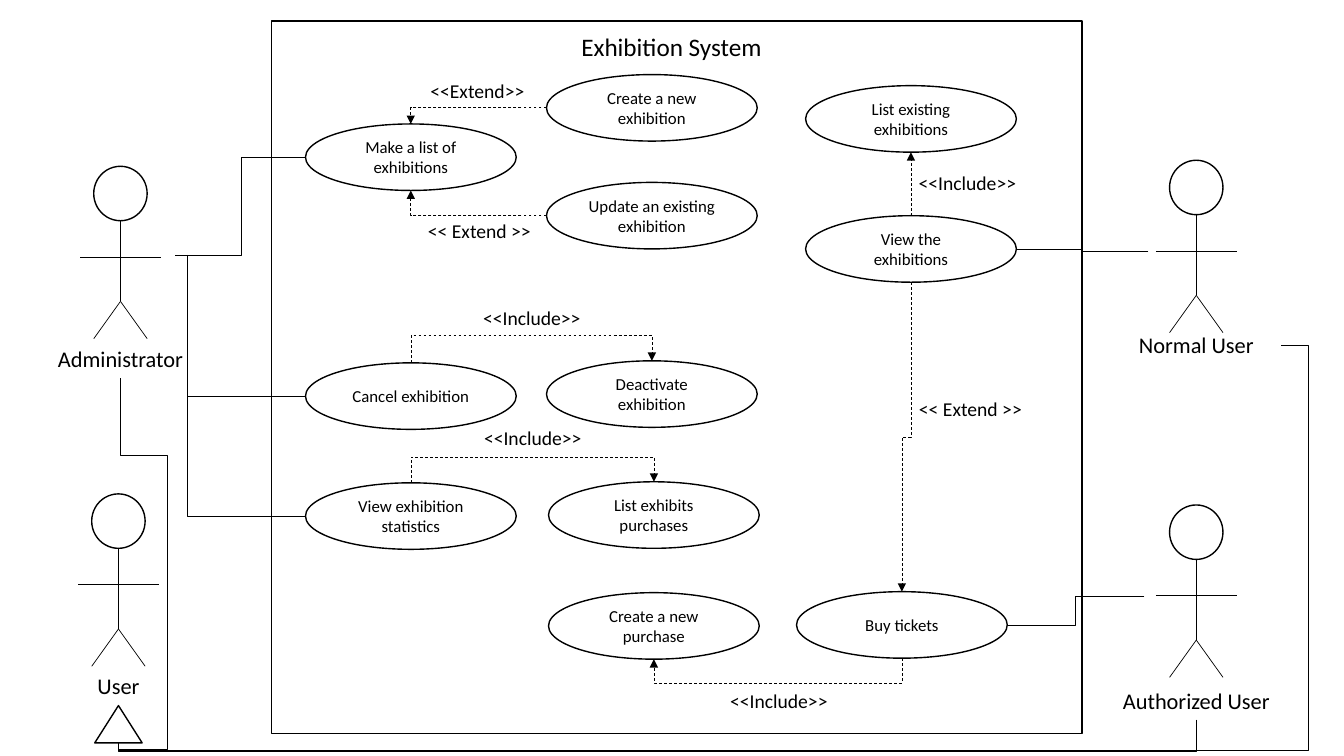
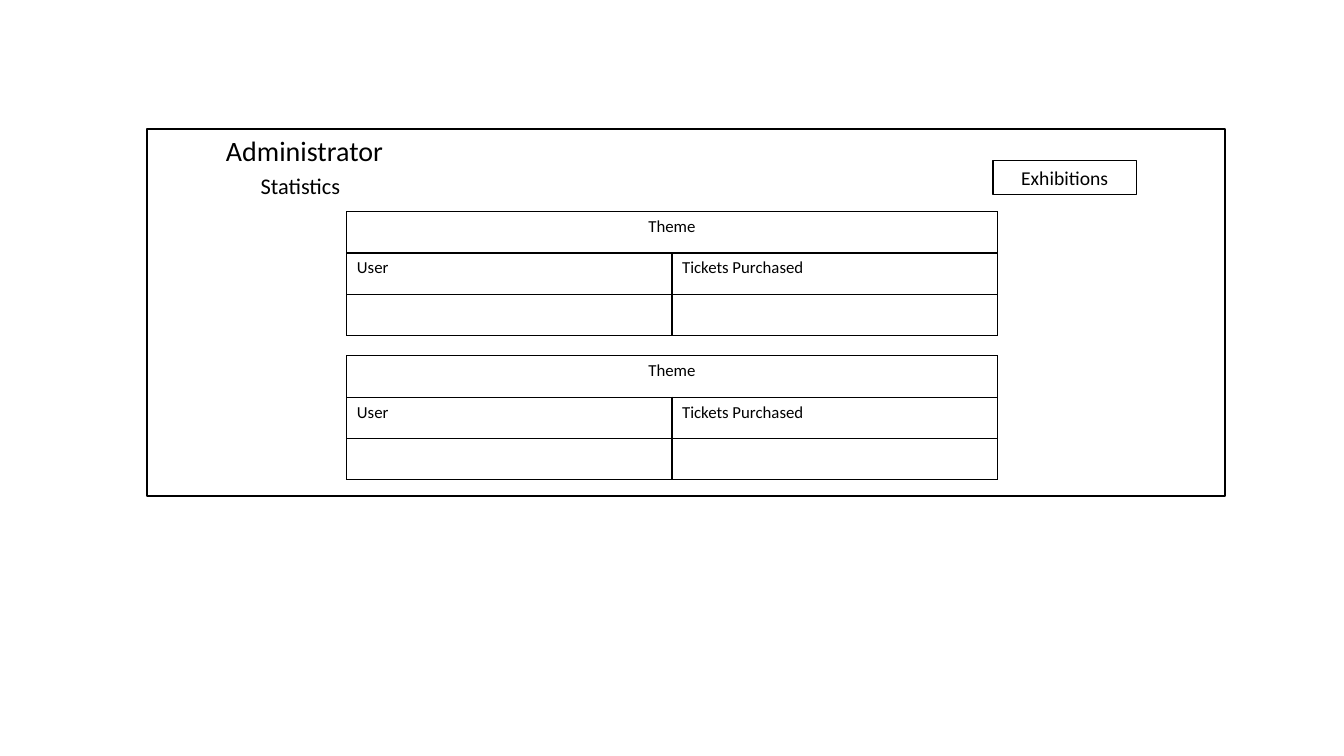
from collections import namedtuple
from lxml.etree import SubElement as Sub
from pptx import Presentation
from pptx.dml.color import RGBColor
from pptx.enum.dml import MSO_LINE as Dash
from pptx.enum.shapes import MSO_CONNECTOR as Link, MSO_SHAPE as Kind
from pptx.enum.text import MSO_ANCHOR as Anchor, MSO_AUTO_SIZE as Auto, PP_ALIGN as Align
from pptx.oxml.ns import qn
from pptx.util import Inches, Pt

INK, PAPER, FACE = "000000", "FFFFFF", "Calibri"
Port = namedtuple("Port", "x y id idx", defaults=(None, None))
TOP, LEFT, BASE, RIGHT = (0.5, 0, 0), (0, 0.5, 2), (0.5, 1, 4), (1, 0.5, 6)
BOX_BASE, BOX_RIGHT, TIP_BASE = (0.5, 1, 2), (1, 0.5, 3), (0.5, 1, 3)


def color(code):
    """Turn a hex string into a colour."""
    return RGBColor.from_string(code)


def put(item, vals):
    """Set each named attribute on the item."""
    for key, val in vals.items():
        setattr(item, key, val)


def write(frame, text, size, align=Align.CENTER):
    """Write one paragraph in the shared type style."""
    para = frame.paragraphs[0]
    para.alignment = align
    run = para.add_run()
    run.text = text
    put(run.font, {"name": FACE, "size": Pt(size)})
    run.font.color.rgb = color(INK)


def label(shapes, box, text, size):
    """Add a centred text box that fits its text."""
    note = shapes.add_textbox(*map(Inches, box))
    put(note.text_frame, {"word_wrap": True, "auto_size": Auto.SHAPE_TO_FIT_TEXT})
    write(note.text_frame, text, size)
    return note


def block(shapes, kind, box, text="", size=12, fill=PAPER):
    """Add an outlined shape with optional text."""
    part = shapes.add_shape(kind, *map(Inches, box))
    part.shadow.inherit = False
    if fill:
        part.fill.solid()
        part.fill.fore_color.rgb = color(fill)
    else:
        part.fill.background()
    part.line.color.rgb = color(INK)
    part.line.width = Pt(1)
    if text:
        put(part.text_frame, {"word_wrap": True, "vertical_anchor": Anchor.MIDDLE})
        write(part.text_frame, text, size)
    return part


def port(shape, side):
    """Give the point where a line joins one side of a shape."""
    across, down, idx = side
    return Port(int(shape.left + across * shape.width),
                int(shape.top + down * shape.height), shape.shape_id, idx)


def spot(x, y):
    """Give a free line end."""
    return Port(Inches(x), Inches(y))


def line(shapes, start, end, arrow=False, kind=Link.STRAIGHT):
    """Draw a thin line, dashed with an arrowhead on request."""
    wire = shapes.add_connector(kind, start.x, start.y, end.x, end.y)
    wire.line.color.rgb = color(INK)
    wire.line.width = Pt(0.5)
    if arrow:
        wire.line.dash_style = Dash.DASH
        Sub(wire.line._get_or_add_ln(), qn("a:tailEnd"), type="triangle")
    Sub(wire._element.spPr, qn("a:effectLst"))
    ends = wire._element.nvCxnSpPr.cNvCxnSpPr
    for point, name in ((start, "get_or_add_stCxn"), (end, "get_or_add_endCxn")):
        if point.id is not None:
            put(getattr(ends, name)(), {"id": point.id, "idx": point.idx})
    return wire


def bend(shapes, start, end, turns=(), down=False, arrow=False):
    """Draw an elbow whose legs turn at the given places, across and down by turns."""
    wire = line(shapes, start, end, arrow, Link.ELBOW)
    wide, tall = end.x - start.x, end.y - start.y
    frame = wire._element.spPr.find(qn("a:xfrm"))
    if down:
        put(wire, {"left": (start.x + end.x - abs(tall)) // 2,
                   "top": (start.y + end.y - abs(wide)) // 2,
                   "width": abs(tall), "height": abs(wide)})
        for key, val in (("rot", "5400000"), ("flipH", str(int(tall < 0))),
                         ("flipV", str(int(wide > 0)))):
            frame.set(key, val)
    shape = wire._element.spPr.find(qn("a:prstGeom"))
    shape.set("prst", f"bentConnector{len(turns) + 2}")
    rules = shape.find(qn("a:avLst"))
    if rules is None:
        rules = Sub(shape, qn("a:avLst"))
    for num, turn in enumerate(turns):
        base, span = (start.y, tall) if down != bool(num % 2) else (start.x, wide)
        ratio = round((Inches(turn) - base) / span * 100000)
        Sub(rules, qn("a:gd"), name=f"adj{num + 1}", fmla=f"val {ratio}")


def actor(slide, left, top, name, drop, width=3.12):
    """Draw a stick figure with its name below and return the name box."""
    shapes = slide.shapes.add_group_shape().shapes
    block(shapes, Kind.OVAL, (left, top, 0.53, 0.54))
    mid, hip, foot = left + 0.265, top + 1.34, top + 1.71
    for x1, y1, x2, y2 in ((mid, top + 0.54, mid, hip),
                           (mid - 0.4, top + 0.9, mid + 0.4, top + 0.9),
                           (left, foot, mid, hip), (left + 0.53, foot, mid, hip)):
        line(shapes, spot(x1, y1), spot(x2, y2))
    return label(shapes, (mid - width / 2, top + drop, width, 0.37), name, 16)


def cases(slide):
    """Draw the system frame with its use cases and return them by key."""
    shapes = slide.shapes
    block(shapes, Kind.RECTANGLE, (2.69, 0.21, 8.04, 7.07))
    label(shapes, (5.1, 0.26, 3.12, 0.4), "Exhibition System", 18)
    spots = {
        "make": (3.03, 1.23, "Make a list of exhibitions"),
        "new": (5.42, 0.74, "Create a new exhibition"),
        "update": (5.42, 1.81, "Update an existing exhibition"),
        "cancel": (3.03, 3.6, "Cancel exhibition"),
        "stop": (5.42, 3.58, "Deactivate exhibition"),
        "view": (7.99, 2.14, "View the exhibitions"),
        "buy": (7.9, 5.87, "Buy tickets"),
        "list": (7.99, 0.85, "List existing exhibitions"),
        "order": (5.44, 5.88, "Create a new purchase"),
        "stats": (3.03, 4.79, "View exhibition statistics"),
        "sales": (5.44, 4.78, "List exhibits purchases"),
    }
    return {key: block(shapes, Kind.OVAL, (x, y, 2.09, 0.66), text)
            for key, (x, y, text) in spots.items()}


def flows(slide, case):
    """Join the use cases with dashed arrows and tag them."""
    shapes = slide.shapes
    for one, side, two, goal, turns, down in (
            ("new", LEFT, "make", TOP, (), False),
            ("update", LEFT, "make", BASE, (), False),
            ("cancel", TOP, "stop", TOP, (3.33,), True),
            ("stats", TOP, "sales", TOP, (4.53,), True),
            ("view", BASE, "buy", TOP, (4.34,), True),
            ("buy", BASE, "order", BASE, (6.78,), True)):
        bend(shapes, port(case[one], side), port(case[two], goal), turns, down, True)
    line(shapes, port(case["view"], TOP), port(case["list"], BASE), True)
    for x, y, text in ((4.57, 2.99, "<<Include>>"), (4.03, 0.73, "<<Extend>>"),
                       (4.05, 2.12, "<< Extend >>"), (8.89, 1.65, "<<Include>>"),
                       (8.92, 3.89, "<< Extend >>"), (4.58, 4.18, "<<Include>>"),
                       (7.02, 6.79, "<<Include>>")):
        label(shapes, (x, y, 1.41, 0.34), text, 14)


def roles(slide, case):
    """Draw the actors and join them to their cases and to the base user."""
    shapes = slide.shapes
    normal = actor(slide, 11.6, 1.59, "Normal User", 1.65, 1.69)
    buyer = actor(slide, 11.6, 5.01, "Authorized User", 1.76)
    admin = actor(slide, 0.93, 1.65, "Administrator", 1.73)
    actor(slide, 0.91, 4.9, "User", 1.72)
    tip = block(shapes, Kind.ISOSCELES_TRIANGLE, (0.94, 7, 0.47, 0.37))
    root = port(tip, TIP_BASE)
    bend(shapes, spot(1.74, 2.53), port(case["make"], LEFT), (2.39,))
    for key in ("cancel", "stats"):
        bend(shapes, spot(1.86, 2.53), port(case[key], LEFT), down=True)
    bend(shapes, spot(11.39, 2.49), port(case["view"], RIGHT), (10.73,))
    bend(shapes, spot(11.35, 5.92), port(case["buy"], RIGHT), (10.67,))
    bend(shapes, port(admin, BOX_BASE), root, (4.52, 1.66, 7.44), True)
    bend(shapes, port(buyer, BOX_BASE), root, (7.45,), True)
    bend(shapes, port(normal, BOX_RIGHT), root, (12.97, 7.45))


def edge(cell):
    """Clear a cell's fill and rule its four sides."""
    props = cell._tc.get_or_add_tcPr()
    for side in ("lnL", "lnR", "lnT", "lnB"):
        rule = Sub(props, qn(f"a:{side}"), w=str(Pt(1)))
        Sub(Sub(rule, qn("a:solidFill")), qn("a:srgbClr"), val=INK)
    cell.fill.background()


def grid(slide, left, top):
    """Add one theme table."""
    table = slide.shapes.add_table(3, 2, *map(Inches, (left, top, 6.45, 1.22))).table
    put(table, {"first_row": False, "horz_banding": False})
    for row in table.rows:
        row.height = Inches(0.41)
    for cell in table.iter_cells():
        edge(cell)
    table.cell(0, 0).merge(table.cell(0, 1))
    for row, col, text, align in ((0, 0, "Theme", Align.CENTER),
                                  (1, 0, "User", Align.LEFT),
                                  (1, 1, "Tickets Purchased", Align.LEFT)):
        write(table.cell(row, col).text_frame, text, 12, align)


def panel(slide, left, top):
    """Draw the statistics page."""
    shapes = slide.shapes
    label(shapes, (left, top, 3.12, 0.44), "Administrator", 20)
    block(shapes, Kind.RECTANGLE, (left, top, 10.69, 3.64), fill=None)
    block(shapes, Kind.RECTANGLE, (left + 8.39, top + 0.31, 1.42, 0.34), "Exhibitions", 14)
    label(shapes, (left, top + 0.38, 3.04, 0.37), "Statistics", 16)
    for num in range(2):
        grid(slide, left + 1.98, top + 0.82 + num * 1.43)


def main():
    """Build and save both slides."""
    deck = Presentation()
    put(deck, {"slide_width": Inches(13.33), "slide_height": Inches(7.5)})
    blank = deck.slide_layouts[6]
    chart = deck.slides.add_slide(blank)
    case = cases(chart)
    flows(chart, case)
    roles(chart, case)
    panel(deck.slides.add_slide(blank), 1.46, 1.28)
    deck.save("out.pptx")


main()
